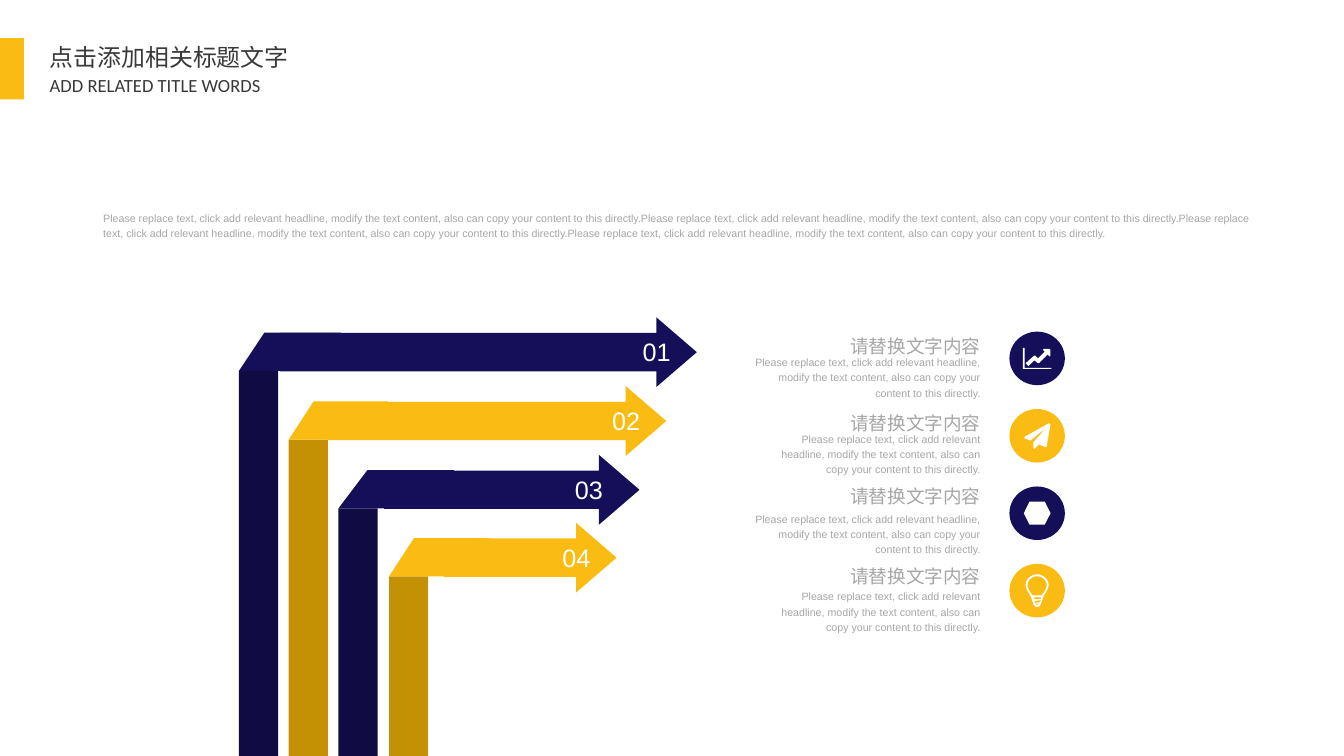
"""Build a slide of four folded arrows beside four icon-led captions."""
from dataclasses import dataclass

from lxml import etree
from pptx import Presentation
from pptx.dml.color import RGBColor
from pptx.enum.shapes import MSO_SHAPE
from pptx.enum.text import MSO_ANCHOR, MSO_AUTO_SIZE, PP_ALIGN
from pptx.oxml.ns import qn
from pptx.util import Inches, Pt

RECTANGLE = MSO_SHAPE.RECTANGLE
RIGHT_ARROW = MSO_SHAPE.RIGHT_ARROW
FOLD = MSO_SHAPE.FLOWCHART_MANUAL_OPERATION
OVAL = MSO_SHAPE.OVAL
HEXAGON = MSO_SHAPE.HEXAGON
TOP, MIDDLE = MSO_ANCHOR.TOP, MSO_ANCHOR.MIDDLE
LEFT, CENTER, RIGHT = PP_ALIGN.LEFT, PP_ALIGN.CENTER, PP_ALIGN.RIGHT
FIT_SHAPE = MSO_AUTO_SIZE.SHAPE_TO_FIT_TEXT

NAVY = RGBColor(0x15, 0x0F, 0x59)
DARK_NAVY = RGBColor(0x10, 0x0B, 0x43)
YELLOW = RGBColor(0xFA, 0xBC, 0x12)
DARK_YELLOW = RGBColor(0xC5, 0x91, 0x04)
WHITE = RGBColor(0xFF, 0xFF, 0xFF)
GREY = RGBColor(0xA6, 0xA6, 0xA6)
CHARCOAL = RGBColor(0x3B, 0x38, 0x38)
CJK_FONT = "Noto Sans CJK SC"

SLIDE_WIDTH, SLIDE_HEIGHT = 14.06, 7.91
CAPTION_RIGHT = 10.26
BADGE_LEFT, BADGE_TOP, BADGE_STEP = 10.56, 3.47, 0.81
BADGE_WIDTH, BADGE_HEIGHT = 0.58, 0.56
HEADING = "请替换文字内容"
SENTENCE = ("Please replace text, click add relevant headline, modify the text "
            "content, also can copy your content to this directly.")

Point = tuple[float, float]
Outline = list[Point]


@dataclass
class FoldedArrow:
    """An arrow that folds out of the top of a column."""
    number: str
    top: float
    column_left: float
    fold_width: float
    arrow_left: float
    arrow_width: float
    number_left: float
    front: RGBColor
    side: RGBColor


@dataclass
class Caption:
    """A heading with its sentence and its icon badge."""
    heading_top: float
    heading_spacing: float
    sentence_top: float
    sentence_width: float
    badge_color: RGBColor
    icon: list[Outline]


def curve(start: Point, *segments: tuple[Point, Point, Point]) -> Outline:
    """Return points along joined cubic curves."""
    points = [start]
    for first, second, end in segments:
        origin = points[-1]
        for step in range(1, 13):
            t = step / 12
            weights = ((1 - t) ** 3, 3 * t * (1 - t) ** 2, 3 * t * t * (1 - t), t ** 3)
            knots = (origin, first, second, end)
            points.append((sum(w * x for w, (x, _) in zip(weights, knots)),
                           sum(w * y for w, (_, y) in zip(weights, knots))))
    return points


def mirrored(half: Outline) -> Outline:
    """Close a left half with its mirror image on the right."""
    return half + [(-x, y) for x, y in reversed(half)]


CHART_ICON = [
    [(0.15, 0.11), (-0.15, 0.11), (-0.15, -0.11), (-0.13, -0.11), (-0.13, 0.1), (0.15, 0.1)],
    [(0.14, -0.03), (0.13, -0.02), (0.11, -0.04), (0.02, 0.05), (0.01, 0.05), (-0.03, 0.02),
     (-0.09, 0.08), (-0.12, 0.05), (-0.03, -0.03), (-0.02, -0.03), (0.01, 0), (0.08, -0.07),
     (0.06, -0.09), (0.07, -0.1), (0.13, -0.1), (0.14, -0.09)],
]
PLANE_ICON = [
    [(0.14, -0.12), (0.1, 0.11), (0.09, 0.12), (0.02, 0.09), (-0.02, 0.13), (-0.03, 0.14),
     (-0.04, 0.12), (-0.04, 0.07), (0.09, -0.08), (-0.07, 0.05), (-0.13, 0.03), (-0.13, 0.01),
     (0.12, -0.13), (0.13, -0.13)],
]
BULB_ICON = [
    mirrored(curve((0, -0.17), ((-0.06, -0.17), (-0.12, -0.12), (-0.12, -0.06)),
                   ((-0.12, -0.01), (-0.07, 0.04), (-0.06, 0.08)),
                   ((-0.04, 0.13), (-0.04, 0.17), (0, 0.17)))),
    mirrored(curve((0, -0.15), ((-0.05, -0.15), (-0.1, -0.11), (-0.1, -0.06)),
                   ((-0.1, -0.04), (-0.09, -0.01), (-0.07, 0.02)),
                   ((-0.06, 0.03), (-0.05, 0.04), (-0.05, 0.05)))),
    [(-0.03, 0.09), (-0.04, 0.07), (0.04, 0.07), (0.04, 0.09)],
    [(0.03, 0.12), (-0.02, 0.13), (-0.03, 0.11), (0.04, 0.1)],
    [(0, 0.15), (-0.02, 0.14), (0.03, 0.13)],
]

ARROWS = [
    FoldedArrow("01", 3.32, 2.5, 1.33, 2.93, 4.36, 6.62, NAVY, DARK_NAVY),
    FoldedArrow("02", 4.04, 3.02, 1.3, 3.43, 3.54, 6.3, YELLOW, DARK_YELLOW),
    FoldedArrow("03", 4.76, 3.54, 1.51, 4.02, 2.67, 5.91, NAVY, DARK_NAVY),
    FoldedArrow("04", 5.47, 4.07, 1.3, 4.64, 1.81, 5.78, YELLOW, DARK_YELLOW),
]
CAPTIONS = [
    Caption(3.46, 1.2, 3.7, 2.36, NAVY, CHART_ICON),
    Caption(4.26, 1.2, 4.5, 2.33, YELLOW, PLANE_ICON),
    Caption(5.07, 1, 5.34, 2.36, NAVY, []),
    Caption(5.91, 1, 6.15, 2.33, YELLOW, BULB_ICON),
]


def paint(shape, color: RGBColor):
    """Give a shape a flat fill."""
    shape.shadow.inherit = False
    shape.fill.solid()
    shape.fill.fore_color.rgb = color
    shape.line.fill.background()
    return shape


def add_block(slide, kind, left: float, top: float, width: float, height: float, color: RGBColor):
    """Add a flat preset shape."""
    return paint(slide.shapes.add_shape(
        kind, Inches(left), Inches(top), Inches(width), Inches(height)), color)


def add_icon(slide, outlines: list[Outline], center_x: float, center_y: float) -> None:
    """Draw white outlines around a centre."""
    placed = [[(Inches(center_x + x), Inches(center_y + y)) for x, y in outline]
              for outline in outlines]
    builder = slide.shapes.build_freeform(*placed[0][0])
    for position, outline in enumerate(placed):
        if position:
            builder.move_to(*outline[0])
        builder.add_line_segments(outline[1:], close=True)
    paint(builder.convert_to_shape(), WHITE)


def write(slide, text: str, left: float, top: float, width: float, height: float, *,
          size: float, color: RGBColor, font: str = "Arial", align=LEFT, anchor=TOP,
          spacing: float = 1, wrap: bool = False, inset: Point = (0, 0), holder=None) -> None:
    """Write formatted text in a new box or a given placeholder."""
    area = (Inches(left), Inches(top), Inches(width), Inches(height))
    box = holder or slide.shapes.add_textbox(*area)
    box.left, box.top, box.width, box.height = area
    frame = box.text_frame
    frame.margin_left = frame.margin_right = Inches(inset[0])
    frame.margin_top = frame.margin_bottom = Inches(inset[1])
    frame.word_wrap, frame.vertical_anchor, frame.auto_size = wrap, anchor, FIT_SHAPE
    paragraph = frame.paragraphs[0]
    paragraph.alignment, paragraph.line_spacing = align, spacing
    run = paragraph.add_run()
    run.text = text
    run.font.size, run.font.name, run.font.color.rgb = Pt(size), font, color
    etree.SubElement(run.font._element, qn("a:ea"), typeface=CJK_FONT)


def add_arrow(slide, arrow: FoldedArrow) -> None:
    """Draw a column, its fold and its arrow."""
    add_block(slide, RECTANGLE, arrow.column_left, arrow.top + 0.56, 0.41,
              SLIDE_HEIGHT - arrow.top - 0.56, arrow.side)
    head = add_block(slide, RIGHT_ARROW, arrow.arrow_left, arrow.top, arrow.arrow_width,
                     0.73, arrow.front)
    head.adjustments[0], head.adjustments[1] = 0.55, 0.58
    fold = add_block(slide, FOLD, arrow.column_left, arrow.top + 0.16, arrow.fold_width,
                     0.4, arrow.front)
    fold.rotation = 180
    write(slide, arrow.number, arrow.number_left, arrow.top + 0.2, 0.5, 0.32,
          size=19, color=WHITE, align=CENTER, anchor=MIDDLE)


def add_caption(slide, caption: Caption, badge_top: float) -> None:
    """Draw a heading, its sentence and its badge."""
    write(slide, HEADING, CAPTION_RIGHT - 1.37, caption.heading_top, 1.37, 0.24, size=14,
          color=GREY, align=RIGHT, spacing=caption.heading_spacing)
    write(slide, SENTENCE, CAPTION_RIGHT - caption.sentence_width, caption.sentence_top,
          caption.sentence_width, 0.47, size=8, color=GREY, align=RIGHT, spacing=1.2, wrap=True)
    add_block(slide, OVAL, BADGE_LEFT, badge_top, BADGE_WIDTH, BADGE_HEIGHT, caption.badge_color)
    center_x, center_y = BADGE_LEFT + BADGE_WIDTH / 2, badge_top + BADGE_HEIGHT / 2
    if caption.icon:
        add_icon(slide, caption.icon, center_x, center_y)
    else:
        add_block(slide, HEXAGON, center_x - 0.14, center_y - 0.12, 0.28, 0.24, WHITE)


def main() -> None:
    """Build and save the slide."""
    deck = Presentation()
    deck.slide_width, deck.slide_height = Inches(SLIDE_WIDTH), Inches(SLIDE_HEIGHT)
    slide = deck.slides.add_slide(deck.slide_layouts[5])
    add_block(slide, RECTANGLE, 0, 0.4, 0.25, 0.64, YELLOW)
    write(slide, "点击添加相关标题文字", 0.41, 0.4, 2.74, 0.41, size=18, color=CHARCOAL,
          font=CJK_FONT, inset=(0.11, 0.05), holder=slide.shapes.title)
    write(slide, "ADD RELATED TITLE WORDS", 0.41, 0.72, 2.44, 0.34, size=14, color=CHARCOAL,
          font="Calibri", inset=(0.11, 0.05))
    write(slide, SENTENCE * 4, 1.08, 2.19, 12.02, 0.31, size=8, color=GREY, spacing=1.2, wrap=True)
    for arrow in ARROWS:
        add_arrow(slide, arrow)
    for row, caption in enumerate(CAPTIONS):
        add_caption(slide, caption, BADGE_TOP + row * BADGE_STEP)
    deck.save("out.pptx")


if __name__ == "__main__":
    main()
